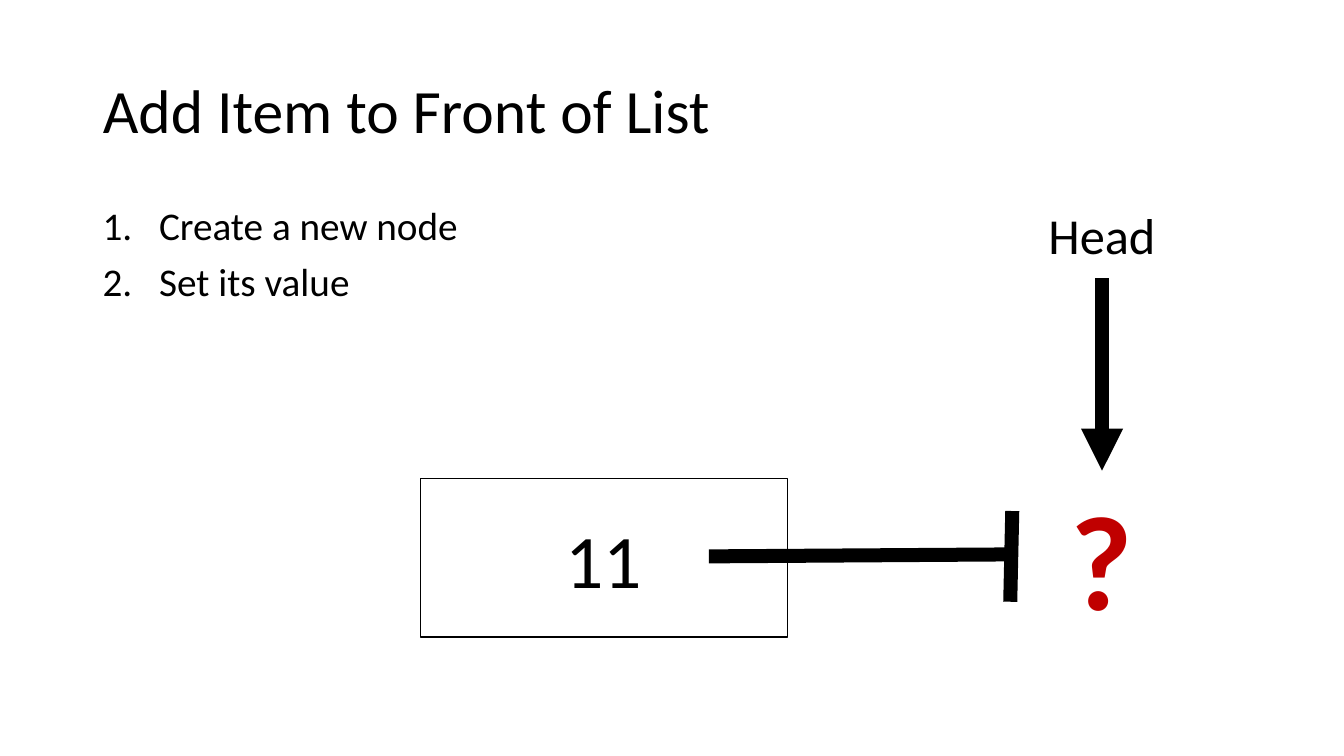
"""Build a slide that shows a new node being added to the front of a linked list."""
from dataclasses import dataclass

from lxml.etree import SubElement
from pptx import Presentation
from pptx.dml.color import RGBColor
from pptx.enum.shapes import MSO_CONNECTOR, MSO_SHAPE
from pptx.enum.text import MSO_ANCHOR, MSO_AUTO_SIZE, PP_ALIGN
from pptx.oxml.ns import qn
from pptx.shapes.autoshape import Shape
from pptx.slide import Slide
from pptx.text.text import TextFrame
from pptx.util import Inches, Pt

BLACK = "000000"
WHITE = "FFFFFF"
RED = "C00000"
FRAME_FORMAT = {"auto_size": MSO_AUTO_SIZE.NONE, "word_wrap": True}
STEP_FORMAT = {"line_spacing": 0.9, "space_after": Pt(0)}
STEP_INDENT = Inches(0.56)


@dataclass(frozen=True)
class Box:
    """Place of an element in inches."""

    left: float
    top: float
    width: float
    height: float

    def lengths(self) -> list[Inches]:
        """Return the place as slide lengths."""
        return [Inches(side) for side in (self.left, self.top, self.width, self.height)]


@dataclass(frozen=True)
class Label:
    """Free-standing text beside the node."""

    text: str
    box: Box
    size: int
    color: str = BLACK
    bold: bool = False


@dataclass(frozen=True)
class Link:
    """Thick straight line of the list diagram."""

    start: tuple[float, float]
    end: tuple[float, float]
    arrow: bool = False


TITLE_BOX = Box(0.92, 0.4, 11.5, 1.45)
STEPS_BOX = Box(0.92, 2, 11.5, 4.76)
NODE_BOX = Box(4.17, 4.75, 3.64, 1.57)
STEPS = ["Create a new node", "Set its value"]
NULL_LINKS = [
    Link((7.03, 5.52), (10.02, 5.5)),
    Link((10.02, 5.97), (10.04, 5.07)),
]
HEAD_LINK = Link((10.93, 2.76), (10.93, 4.67), arrow=True)
LABELS = [
    Label("Head", Box(10.3, 1.98, 1.27, 0.71), 36),
    Label("?", Box(10.52, 4.67, 0.83, 1.72), 96, RED, True),
]


def rgb(color: str) -> RGBColor:
    """Turn a hex string into a colour."""
    return RGBColor.from_string(color)


def apply_format(target: object, values: dict) -> None:
    """Set every attribute given in the format values."""
    for attribute, value in values.items():
        setattr(target, attribute, value)


def style_text(frame: TextFrame, size: int, color: str = BLACK, bold: bool = False) -> None:
    """Give all paragraphs of a frame one font."""
    for paragraph in frame.paragraphs:
        apply_format(paragraph.font, {"name": "Calibri", "size": Pt(size), "bold": bold})
        paragraph.font.color.rgb = rgb(color)


def place_title(slide: Slide) -> None:
    """Move and format the title placeholder."""
    title = slide.shapes.title
    apply_format(title, dict(zip(("left", "top", "width", "height"), TITLE_BOX.lengths())))
    frame = title.text_frame
    frame.text = "Add Item to Front of List"
    apply_format(frame, FRAME_FORMAT | {"vertical_anchor": MSO_ANCHOR.MIDDLE})
    apply_format(frame.paragraphs[0], {"alignment": PP_ALIGN.LEFT, "line_spacing": 0.9})
    style_text(frame, 44)


def add_steps(slide: Slide) -> None:
    """Add the numbered steps."""
    frame = slide.shapes.add_textbox(*STEPS_BOX.lengths()).text_frame
    frame.text = "\n".join(STEPS)
    apply_format(frame, FRAME_FORMAT)
    for index, step in enumerate(frame.paragraphs):
        apply_format(step, STEP_FORMAT | {"space_before": Pt(10 if index else 0)})
        properties = step._p.get_or_add_pPr()
        properties.set("marL", str(STEP_INDENT))
        properties.set("indent", str(-STEP_INDENT))
        SubElement(properties, qn("a:buFont"), typeface="+mj-lt")
        SubElement(properties, qn("a:buAutoNum"), type="arabicPeriod")
    style_text(frame, 28)


def add_node(slide: Slide) -> Shape:
    """Add the new node with its value."""
    node = slide.shapes.add_shape(MSO_SHAPE.RECTANGLE, *NODE_BOX.lengths())
    node.shadow.inherit = False
    node.fill.solid()
    node.fill.fore_color.rgb = rgb(WHITE)
    node.line.color.rgb = rgb(BLACK)
    node.line.width = Pt(1)
    frame = node.text_frame
    frame.text = "11"
    frame.vertical_anchor = MSO_ANCHOR.MIDDLE
    frame.paragraphs[0].alignment = PP_ALIGN.CENTER
    style_text(frame, 54)
    return node


def add_link(shapes, link: Link) -> None:
    """Add a thick line, with an arrowhead where the link asks for one."""
    ends = [Inches(value) for value in link.start + link.end]
    connector = shapes.add_connector(MSO_CONNECTOR.STRAIGHT, *ends)
    connector.line.color.rgb = rgb(BLACK)
    connector.line.width = Pt(10)
    if link.arrow:
        SubElement(connector.line._get_or_add_ln(), qn("a:tailEnd"), type="triangle")
    SubElement(connector._element.spPr, qn("a:effectLst"))


def add_label(slide: Slide, label: Label) -> None:
    """Add a label that keeps to one line."""
    frame = slide.shapes.add_textbox(*label.box.lengths()).text_frame
    frame.text = label.text
    apply_format(frame, {"word_wrap": False, "auto_size": MSO_AUTO_SIZE.SHAPE_TO_FIT_TEXT})
    style_text(frame, label.size, label.color, label.bold)


def main() -> None:
    """Build and save the slide."""
    presentation = Presentation()
    apply_format(presentation, {"slide_width": Inches(13.33), "slide_height": Inches(7.5)})
    slide = presentation.slides.add_slide(presentation.slide_layouts[5])
    place_title(slide)
    add_steps(slide)
    add_node(slide)
    null_pointer = slide.shapes.add_group_shape()
    for link in NULL_LINKS:
        add_link(null_pointer.shapes, link)
    add_link(slide.shapes, HEAD_LINK)
    for label in LABELS:
        add_label(slide, label)
    presentation.save("out.pptx")


if __name__ == "__main__":
    main()
